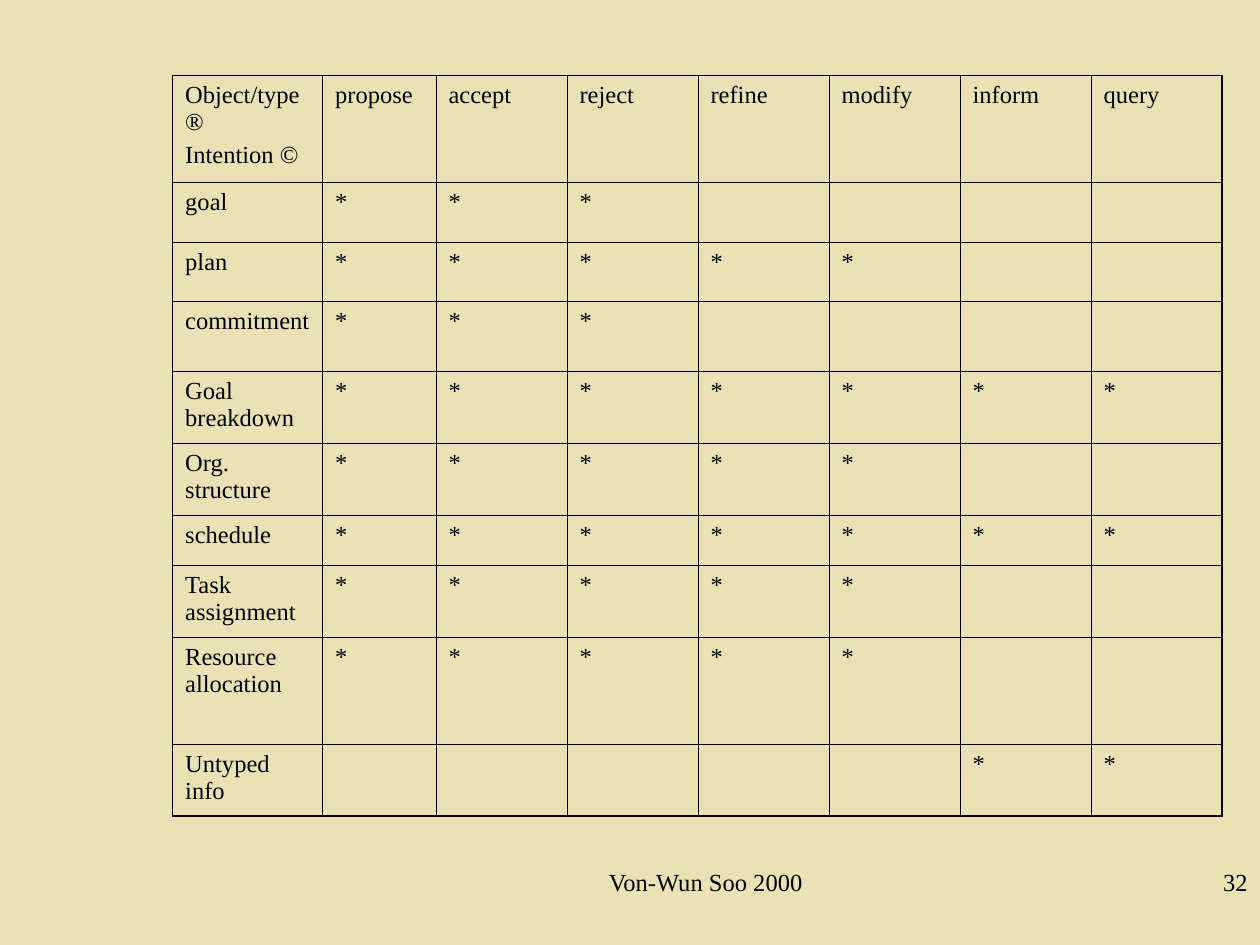
from lxml import etree
from pptx import Presentation
from pptx.dml.color import RGBColor
from pptx.enum import text
from pptx.oxml import ns
from pptx.util import Inches, Pt

# Content
HEADERS = ["propose", "accept", "reject", "refine", "modify", "inform", "query"]
CORNER = ["Object/type ®", "Intention ©"]
BASIC = HEADERS[:3]
EDITABLE = HEADERS[:5]
# Intention, acts that apply to it, row height
INTENTIONS = [
    ("goal", BASIC, 0.47),
    ("plan", EDITABLE, 0.47),
    ("commitment", BASIC, 0.56),
    ("Goal breakdown", HEADERS, 0.57),
    ("Org. structure", EDITABLE, 0.57),
    ("schedule", HEADERS, 0.4),
    ("Task assignment", EDITABLE, 0.57),
    ("Resource allocation", EDITABLE, 0.85),
    ("Untyped info", HEADERS[5:], 0.57),
]
FOOTERS = [
    ("Von-Wun Soo 2000 ", 3.75, 3.75, text.PP_ALIGN.CENTER),
    ("32", 7.92, 2.08, text.PP_ALIGN.RIGHT),
]

# Style
FONT, SIZE = "Times New Roman", Pt(14)
BLACK = RGBColor(0x00, 0x00, 0x00)
BACKGROUND = RGBColor(0xE9, 0xE2, 0xB6)
OUTER, INNER = Pt(1.08), Pt(0.45)
COLUMN_WIDTHS = [1.19, 0.9] + [1.04] * 6
ROW_HEIGHTS = [0.85] + [height for _, _, height in INTENTIONS]
LABEL_MARGIN_RIGHT = Inches(0.08)  # keeps the longest label on one line


def write(frame, lines, alignment=text.PP_ALIGN.LEFT):
    for index, line in enumerate(lines):
        paragraph = frame.add_paragraph() if index else frame.paragraphs[0]
        paragraph.alignment = alignment
        paragraph.space_before = Pt(3.5 if index else 0)
        run = paragraph.add_run()
        run.text = line
        run.font.name, run.font.size = FONT, SIZE
        run.font.color.rgb = BLACK


def set_borders(cell, on_edge):
    properties = cell._tc.get_or_add_tcPr()
    for side in "LRTB":
        width = OUTER if on_edge[side] else INNER
        line = etree.SubElement(properties, ns.qn(f"a:ln{side}"), w=str(int(width)))
        fill = etree.SubElement(line, ns.qn("a:solidFill"))
        etree.SubElement(fill, ns.qn("a:srgbClr"), val=str(BLACK))


presentation = Presentation()
presentation.slide_width, presentation.slide_height = Inches(10), Inches(7.5)
slide = presentation.slides.add_slide(presentation.slide_layouts[6])
slide.background.fill.solid()
slide.background.fill.fore_color.rgb = BACKGROUND

# Footer and page number
for words, left, width, alignment in FOOTERS:
    box = slide.shapes.add_textbox(Inches(left), Inches(6.83), Inches(width), Inches(0.5))
    box.text_frame.word_wrap = True
    write(box.text_frame, [words], alignment)

# Table of intentions against message types
rows = [[CORNER] + [[header] for header in HEADERS]]
for name, acts, _ in INTENTIONS:
    rows.append([[name]] + [["*"] if header in acts else [] for header in HEADERS])

table = slide.shapes.add_table(
    len(rows), len(COLUMN_WIDTHS), Inches(1.37), Inches(0.6),
    Inches(sum(COLUMN_WIDTHS)), Inches(sum(ROW_HEIGHTS))).table
table.first_row = table.horz_banding = False
for column, width in zip(table.columns, COLUMN_WIDTHS):
    column.width = Inches(width)
for row, height in zip(table.rows, ROW_HEIGHTS):
    row.height = Inches(height)

for r, row in enumerate(rows):
    for c, lines in enumerate(row):
        cell = table.cell(r, c)
        set_borders(cell, {"L": c == 0, "R": c == len(row) - 1,
                           "T": r == 0, "B": r == len(rows) - 1})
        cell.fill.background()
        if c == 0:
            cell.margin_right = LABEL_MARGIN_RIGHT
        write(cell.text_frame, lines)

presentation.save("out.pptx")
